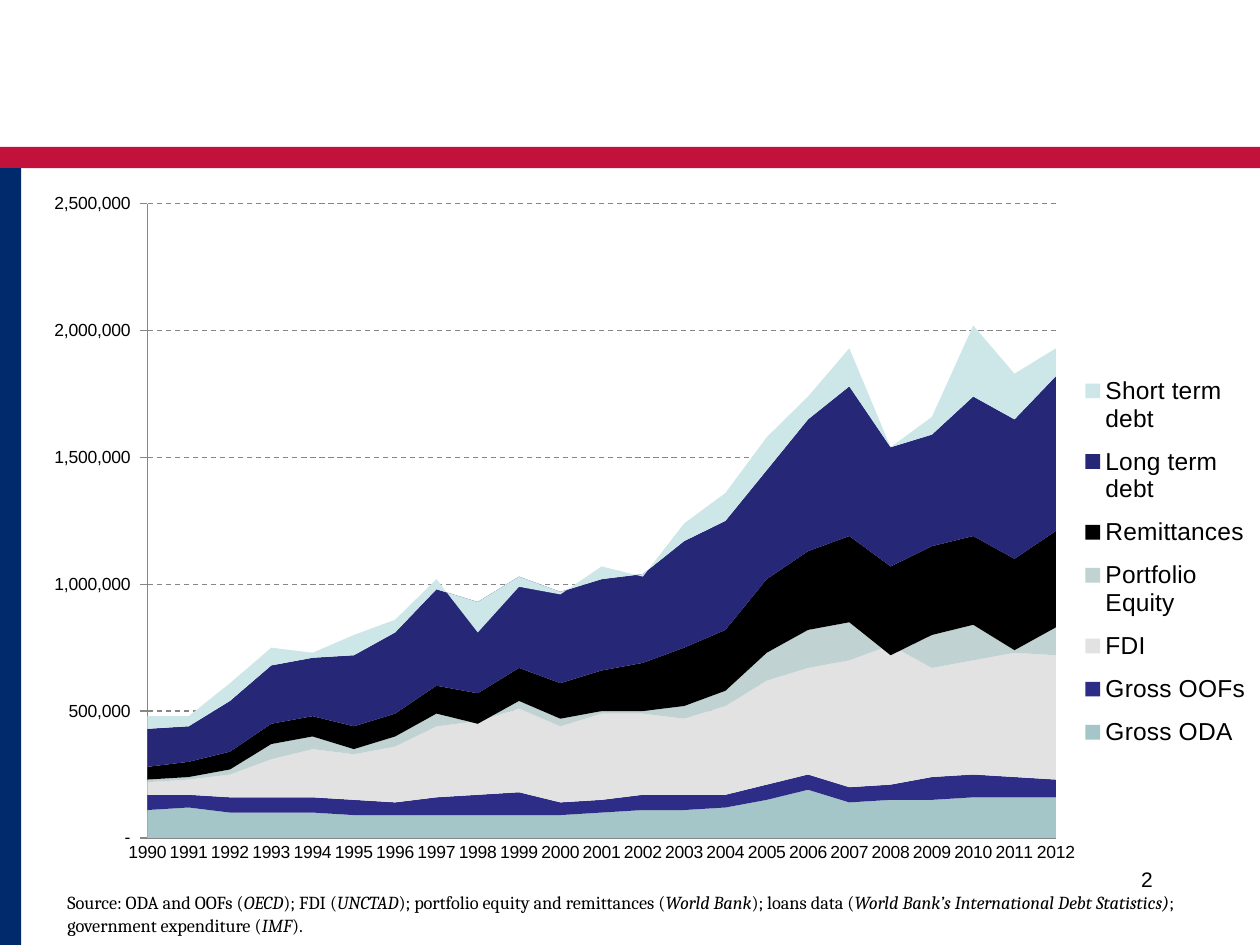
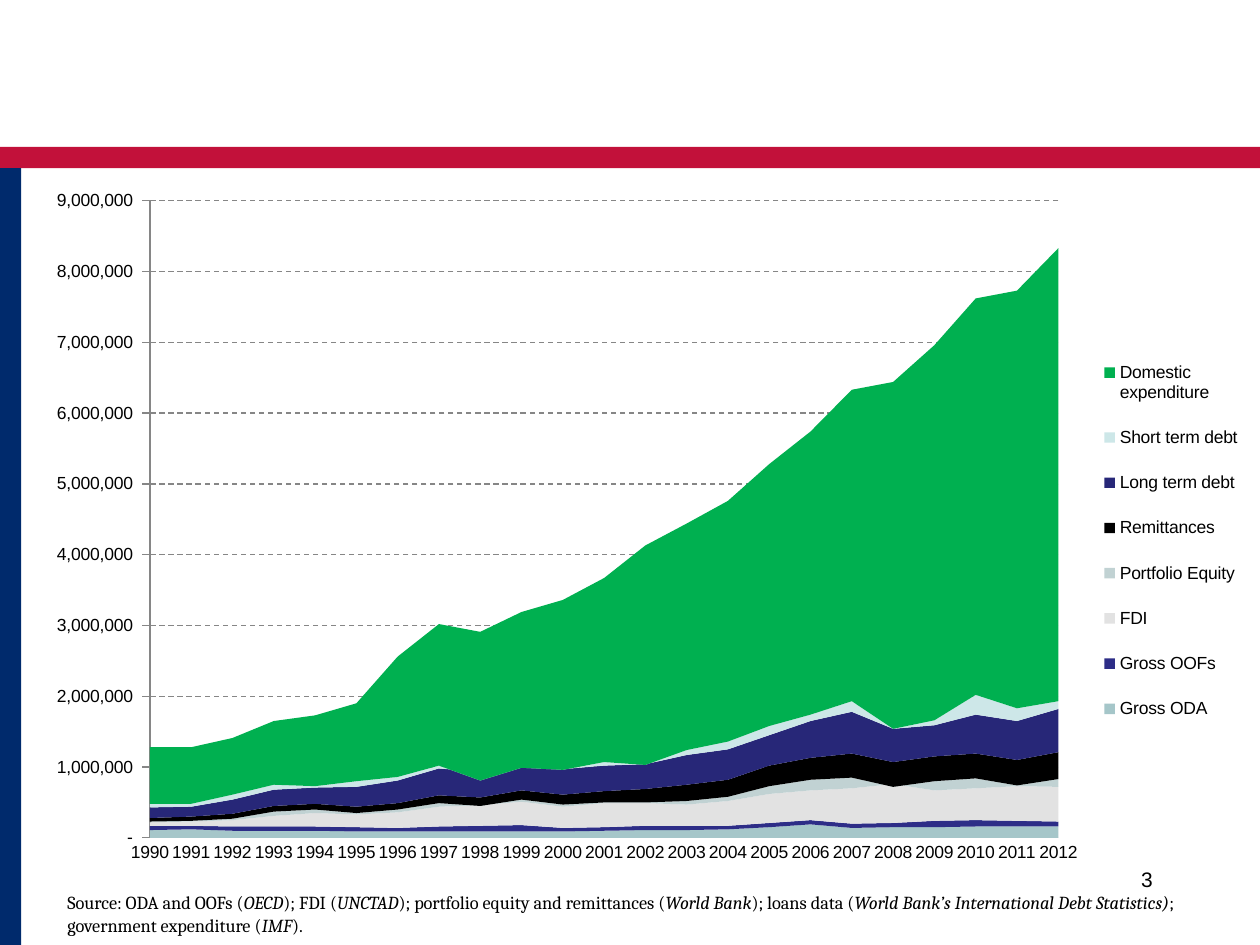
"""Build two slides of stacked area charts on flows of development finance."""
from dataclasses import dataclass

from lxml.etree import SubElement
from pptx import Presentation
from pptx.chart.data import CategoryChartData
from pptx.dml.color import RGBColor
from pptx.enum.chart import XL_CHART_TYPE, XL_LEGEND_POSITION, XL_TICK_MARK
from pptx.enum.dml import MSO_LINE
from pptx.enum.shapes import MSO_SHAPE
from pptx.enum.text import PP_ALIGN
from pptx.oxml.ns import qn
from pptx.util import Cm, Pt


@dataclass(frozen=True)
class Theme:
    """Hold the colours, fonts and type sizes of the deck."""
    red: str = "C2113A"
    blue: str = "002A6C"
    ink: str = "000000"
    grid: str = "868686"
    sans: str = "Arial"
    serif: str = "Cambria"
    label: float = 10
    page: float = 12
    note: float = 10.5


THEME = Theme()
YEARS = [str(year) for year in range(1990, 2013)]
FORMAT = '_-* #,##0_-;\\-* #,##0_-;_-* "-"_-;_-@_-'
SOURCE = ("Source: ODA and OOFs (*OECD*); FDI (*UNCTAD*); portfolio equity and "
          "remittances (*World Bank*); loans data (*World Bank’s International "
          "Debt Statistics)*; government expenditure (*IMF*).")

# Name, colour and yearly values in thousands.
FLOWS = [
    ("Gross ODA", "A5C6C9",
     [110, 120, 100, 100, 100, 90, 90, 90, 90, 90, 90, 100,
      110, 110, 120, 150, 190, 140, 150, 150, 160, 160, 160]),
    ("Gross OOFs", "2D2D87",
     [60, 50, 60, 60, 60, 60, 50, 70, 80, 90, 50, 50,
      60, 60, 50, 60, 60, 60, 60, 90, 90, 80, 70]),
    ("FDI", "E2E2E2",
     [50, 60, 90, 150, 190, 180, 220, 280, 290, 330, 300, 340,
      320, 300, 350, 410, 420, 500, 550, 430, 450, 490, 490]),
    ("Portfolio Equity", "C1D2D3",
     [10, 10, 20, 60, 50, 20, 40, 50, -10, 30, 30, 10,
      10, 50, 60, 110, 150, 150, -40, 130, 140, 10, 110]),
    ("Remittances", "000000",
     [50, 60, 70, 80, 80, 90, 90, 110, 120, 130, 140, 160,
      190, 230, 240, 290, 310, 340, 350, 350, 350, 360, 380]),
    ("Long term debt", "272778",
     [150, 140, 200, 230, 230, 280, 320, 380, 360, 360, 360, 360,
      350, 420, 430, 430, 520, 590, 470, 440, 550, 550, 610]),
    ("Short term debt", "CDE7E8",
     [50, 40, 70, 70, 20, 80, 50, 40, -120, -40, -10, 50,
      -10, 70, 110, 130, 90, 150, 0, 70, 280, 180, 110]),
]
HOME = ("Domestic expenditure", "00B050",
        [800, 800, 800, 900, 1000, 1100, 1700, 2000, 2100, 2200, 2400, 2600,
         3100, 3200, 3400, 3700, 4000, 4400, 4900, 5300, 5600, 5900, 6400])


def paint(fill, tint):
    """Give a fill one solid colour."""
    fill.solid()
    fill.fore_color.rgb = RGBColor.from_string(tint)


def style(font, size, face=THEME.sans):
    """Set the size, face and ink of a font."""
    font.size, font.name = Pt(size), face
    font.color.rgb = RGBColor.from_string(THEME.ink)


def add_band(slide, box, tint):
    """Draw a flat band without an outline."""
    band = slide.shapes.add_shape(MSO_SHAPE.RECTANGLE, *map(Cm, box))
    band.shadow.inherit = False
    band.line.fill.background()
    paint(band.fill, tint)


def add_text(slide, box, text, size, face, align=PP_ALIGN.LEFT):
    """Add one wrapped paragraph, with italics between asterisks."""
    frame = slide.shapes.add_textbox(*map(Cm, box)).text_frame
    frame.word_wrap = True
    para = frame.paragraphs[0]
    para.alignment = align
    style(para.font, size, face)
    for index, part in enumerate(text.split("*")):
        run = para.add_run()
        run.text = part
        if index % 2:
            run.font.italic = True


def set_place(layout, box, inner=False):
    """Fix a chart part at fractions of the chart area."""
    for child in list(layout):
        layout.remove(child)
    manual = SubElement(layout, qn("c:manualLayout"))
    pairs = [("layoutTarget", "inner")] if inner else []
    pairs += [("xMode", "edge"), ("yMode", "edge"), *zip("xywh", map(str, box))]
    for tag, value in pairs:
        SubElement(manual, qn(f"c:{tag}")).set("val", value)


def set_axes(chart, top, step):
    """Scale and style both axes."""
    years, values = chart.category_axis, chart.value_axis
    years.major_tick_mark = XL_TICK_MARK.NONE
    values.major_tick_mark = XL_TICK_MARK.OUTSIDE
    values.minimum_scale, values.maximum_scale = 0, top
    values.major_unit = step
    values.has_major_gridlines = True
    values.tick_labels.number_format = FORMAT
    values.tick_labels.number_format_is_linked = False
    grid = values.major_gridlines.format.line
    grid.dash_style = MSO_LINE.DASH
    for line in (grid, years.format.line, values.format.line):
        line.width = Pt(0.75)
        paint(line.fill, THEME.grid)
    for cross in chart._chartSpace.iter(qn("c:crossBetween")):
        cross.set("val", "midCat")


def set_key(chart, size, box):
    """Place the legend at the right."""
    chart.has_legend = True
    key = chart.legend
    key.position = XL_LEGEND_POSITION.RIGHT
    key.include_in_layout = False
    style(key.font, size)
    set_place(key._element.get_or_add_layout(), box)


def add_areas(slide, box, rows, top, step, size, key, height):
    """Add a stacked area chart of the given rows."""
    data = CategoryChartData(number_format=FORMAT)
    data.categories = YEARS
    for name, _, values in rows:
        data.add_series(name, [value * 1000 for value in values])
    chart = slide.shapes.add_chart(
        XL_CHART_TYPE.AREA_STACKED, *map(Cm, box), data).chart
    chart.has_title = False
    style(chart.font, THEME.label)
    plot = chart.plots[0]
    plot.vary_by_categories = False
    for series, (_, tint, _) in zip(plot.series, rows):
        paint(series.format.fill, tint)
        series.format.line.fill.background()
    set_axes(chart, top, step)
    set_key(chart, size, key)
    area = chart._chartSpace.chart.plotArea
    layout = area.find(qn("c:layout"))
    if layout is None:
        layout = SubElement(area, qn("c:layout"))
        area.insert(0, layout)
    set_place(layout, (0.117, 0.029, 0.721, height), inner=True)


def add_page(deck, number, **chart):
    """Add a slide with bands, page number, chart and source."""
    slide = deck.slides.add_slide(deck.slide_layouts[6])
    add_band(slide, (0, 2.96, 25.4, 0.43), THEME.red)
    add_band(slide, (0, 3.39, 0.43, 15.66), THEME.blue)
    add_text(slide, (18.2, 17.35, 5.29, 1.27), str(number),
             THEME.page, THEME.sans, PP_ALIGN.RIGHT)
    add_areas(slide, **chart)
    add_text(slide, (1.11, 17.85, 23.02, 1.2), SOURCE, THEME.note, THEME.serif)


def main():
    """Build and save the deck."""
    deck = Presentation()
    deck.slide_width, deck.slide_height = Cm(25.4), Cm(19.05)
    add_page(deck, 2, box=(0, 3.69, 25.4, 14.4), rows=FLOWS,
             top=2500000, step=500000, size=14,
             key=(0.855, 0.25, 0.14, 0.56), height=0.888)
    add_page(deck, 3, box=(0.05, 3.63, 25.4, 14.4), rows=FLOWS + [HOME],
             top=9000000, step=1000000, size=THEME.label,
             key=(0.865, 0.22, 0.125, 0.57), height=0.892)
    deck.save("out.pptx")


if __name__ == "__main__":
    main()
